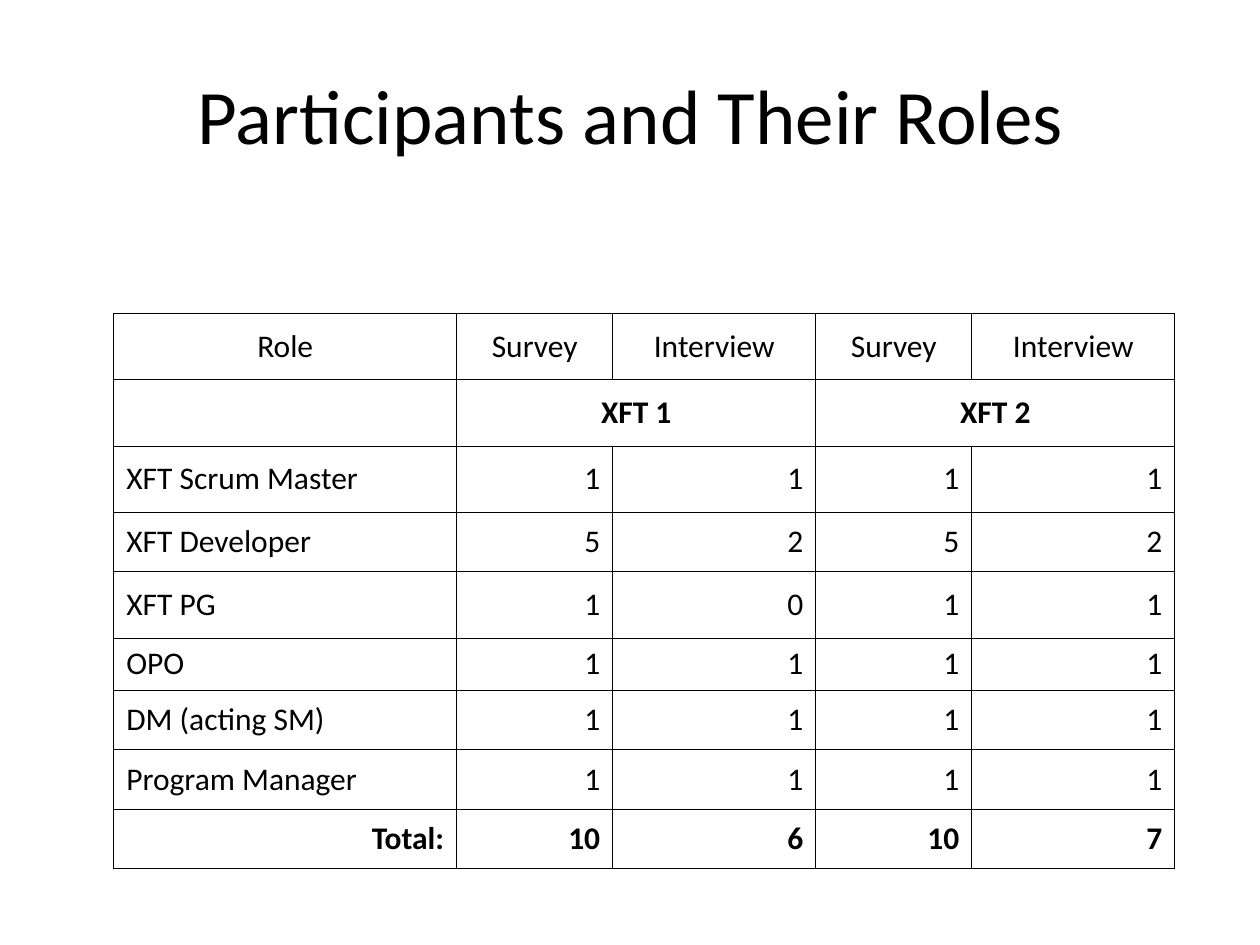
from lxml.etree import SubElement
from pptx import Presentation
from pptx.dml.color import RGBColor
from pptx.enum.text import MSO_ANCHOR as Anchor, PP_ALIGN as Align
from pptx.oxml.ns import qn
from pptx.util import Pt

TITLE = "Participants and Their Roles"
ROWS = [
    ("Role", "Survey", "Interview", "Survey", "Interview"),
    ("", "XFT 1", "", "XFT 2", ""),
    ("XFT Scrum Master", "1", "1", "1", "1"),
    ("XFT Developer", "5", "2", "5", "2"),
    ("XFT PG", "1", "0", "1", "1"),
    ("OPO", "1", "1", "1", "1"),
    ("DM (acting SM)", "1", "1", "1", "1"),
    ("Program Manager", "1", "1", "1", "1"),
    ("Total:", "10", "6", "10", "7"),
]
WIDTHS = [196, 89.2, 116, 89.2, 116]
HEIGHTS = [38, 38, 37.7, 33.9, 38, 30, 34, 34, 34]
TEAM, TOTAL = 1, len(ROWS) - 1
INK = "000000"
LINE = 0.45


def style(para, size, align, bold=False):
    para.alignment = align
    look = {"name": "Calibri", "size": Pt(size), "bold": bold}
    for key, value in look.items():
        setattr(para.font, key, value)
    para.font.color.rgb = RGBColor.from_string(INK)


def frame(cell):
    """Draw a thin line on all four sides of a cell."""
    props = cell._tc.get_or_add_tcPr()
    for side in ("lnL", "lnR", "lnT", "lnB"):
        line = SubElement(props, qn(f"a:{side}"), w=str(int(Pt(LINE))))
        fill = SubElement(line, qn("a:solidFill"))
        SubElement(fill, qn("a:srgbClr"), val=INK)


def align_at(row, col):
    if row <= TEAM:
        return Align.CENTER
    return Align.LEFT if col == 0 and row != TOTAL else Align.RIGHT


def add_roles(slide):
    table = slide.shapes.add_table(
        len(ROWS), len(WIDTHS), Pt(65), Pt(179),
        Pt(sum(WIDTHS)), Pt(sum(HEIGHTS))).table
    table.first_row = table.horz_banding = False
    for col, width in zip(table.columns, WIDTHS):
        col.width = Pt(width)
    for row, height in zip(table.rows, HEIGHTS):
        row.height = Pt(height)
    for r, texts in enumerate(ROWS):
        for c, text in enumerate(texts):
            cell = table.cell(r, c)
            frame(cell)
            cell.fill.background()
            cell.vertical_anchor = Anchor.MIDDLE
            cell.text = text
            style(cell.text_frame.paragraphs[0], 18, align_at(r, c),
                  r in (TEAM, TOTAL))
    for c in (1, 3):
        table.cell(TEAM, c).merge(table.cell(TEAM, c + 1))


def main():
    deck = Presentation()
    deck.slide_width, deck.slide_height = Pt(720), Pt(540)
    slide = deck.slides.add_slide(deck.slide_layouts[5])
    title = slide.shapes.title
    box = {"left": 36.5, "top": 20, "width": 648, "height": 90}
    for key, value in box.items():
        setattr(title, key, Pt(value))
    title.text_frame.text = TITLE
    title.text_frame.vertical_anchor = Anchor.MIDDLE
    style(title.text_frame.paragraphs[0], 44, Align.CENTER)
    add_roles(slide)
    deck.save("out.pptx")


if __name__ == "__main__":
    main()
